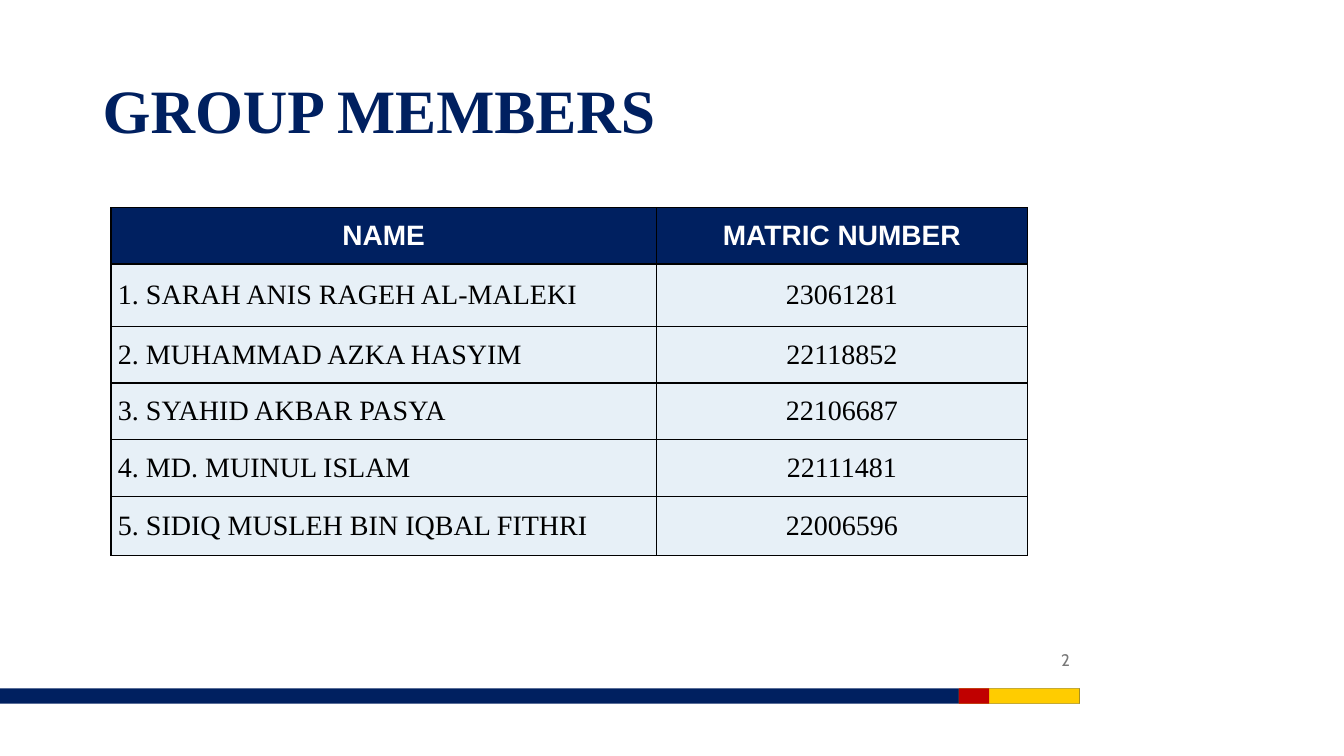
import pptx
import pptx.dml.color
import pptx.enum.shapes
import pptx.enum.text
import pptx.oxml
import pptx.oxml.ns
import pptx.util

Inches = pptx.util.Inches
RGBColor = pptx.dml.color.RGBColor
Align = pptx.enum.text.PP_ALIGN
Anchor = pptx.enum.text.MSO_ANCHOR

NAVY = RGBColor(0x00, 0x20, 0x60)
YELLOW = RGBColor(0xFF, 0xCC, 0x00)
RED = RGBColor(0xC0, 0x00, 0x00)
PALE_BLUE = RGBColor(0xE7, 0xF0, 0xF7)
GREY = RGBColor(0x79, 0x79, 0x79)
BLACK = RGBColor(0, 0, 0)
WHITE = RGBColor(0xFF, 0xFF, 0xFF)

SERIF = "Times New Roman"
COLUMN_WIDTHS = [5.41, 3.68]
ROW_HEIGHTS = [0.56, 0.62, 0.56, 0.56, 0.57, 0.58]
HEADER = ("NAME", "MATRIC NUMBER")
MEMBERS = [
    ("1. SARAH ANIS RAGEH AL-MALEKI", "23061281"),
    ("2. MUHAMMAD AZKA HASYIM", "22118852"),
    ("3. SYAHID AKBAR PASYA", "22106687"),
    ("4. MD. MUINUL ISLAM", "22111481"),
    ("5. SIDIQ MUSLEH BIN IQBAL FITHRI", "22006596"),
]


class Page:
    def __init__(self, deck):
        self.shapes = deck.slides.add_slide(deck.slide_layouts[6]).shapes

    def set_text(self, frame, text, size, font, color, bold=False, align=Align.LEFT):
        frame.text = text
        para = frame.paragraphs[0]
        para.alignment = align
        for span in para.runs:
            span.font.size = pptx.util.Pt(size)
            span.font.name = font
            span.font.bold = bold
            span.font.color.rgb = color
        return para

    def bar(self, left, width, color):
        shape = self.shapes.add_shape(
            pptx.enum.shapes.MSO_SHAPE.RECTANGLE,
            Inches(left), Inches(6.83), Inches(width), Inches(0.15))
        shape.shadow.inherit = False
        shape.fill.solid()
        shape.fill.fore_color.rgb = color
        shape.line.fill.background()

    def text(self, left, top, width, height, *style, **options):
        box = self.shapes.add_textbox(
            Inches(left), Inches(top), Inches(width), Inches(height))
        box.text_frame.word_wrap = True
        box.text_frame.vertical_anchor = Anchor.MIDDLE
        return self.set_text(box.text_frame, *style, **options)

    def border(self, cell):
        properties = cell._tc.get_or_add_tcPr()
        for position, side in enumerate(("lnL", "lnR", "lnT", "lnB")):
            line = pptx.oxml.parse_xml(
                f'<a:{side} {pptx.oxml.ns.nsdecls("a")} w="12700"><a:solidFill>'
                f'<a:srgbClr val="{BLACK}"/></a:solidFill></a:{side}>')
            properties.insert(position, line)

    def table(self, left, top, rows):
        table = self.shapes.add_table(
            len(rows), len(COLUMN_WIDTHS), Inches(left), Inches(top),
            Inches(sum(COLUMN_WIDTHS)), Inches(sum(ROW_HEIGHTS))).table
        for column, width in zip(table.columns, COLUMN_WIDTHS):
            column.width = Inches(width)
        for row, height in zip(table.rows, ROW_HEIGHTS):
            row.height = Inches(height)
        for row_index, values in enumerate(rows):
            header = row_index == 0
            for column_index, value in enumerate(values):
                cell = table.cell(row_index, column_index)
                cell.vertical_anchor = Anchor.MIDDLE
                cell.margin_left = cell.margin_right = Inches(0.07)
                cell.margin_top = cell.margin_bottom = Inches(0.07)
                cell.fill.solid()
                cell.fill.fore_color.rgb = NAVY if header else PALE_BLUE
                self.border(cell)
                self.set_text(
                    cell.text_frame, value, 20,
                    "Arial" if header else SERIF,
                    WHITE if header else BLACK, bold=header,
                    align=Align.CENTER if header or column_index else Align.LEFT)


def main():
    deck = pptx.Presentation()
    deck.slide_width = Inches(13.33)
    deck.slide_height = Inches(7.5)
    page = Page(deck)

    # Footer stripe
    page.bar(0, 10.71, NAVY)
    page.bar(9.51, 1.2, YELLOW)
    page.bar(9.51, 0.3, RED)

    # Title
    title = page.text(0.92, 0.4, 11.5, 1.45, "GROUP MEMBERS", 44, SERIF, NAVY, bold=True)
    title.line_spacing = 0.9

    # Member list
    page.table(1.1, 2.06, [HEADER] + MEMBERS)

    # Page number
    page.text(9.58, 6.37, 1.13, 0.35, "2", 12, "Cabin", GREY, align=Align.RIGHT)

    deck.save("out.pptx")


if __name__ == "__main__":
    main()
